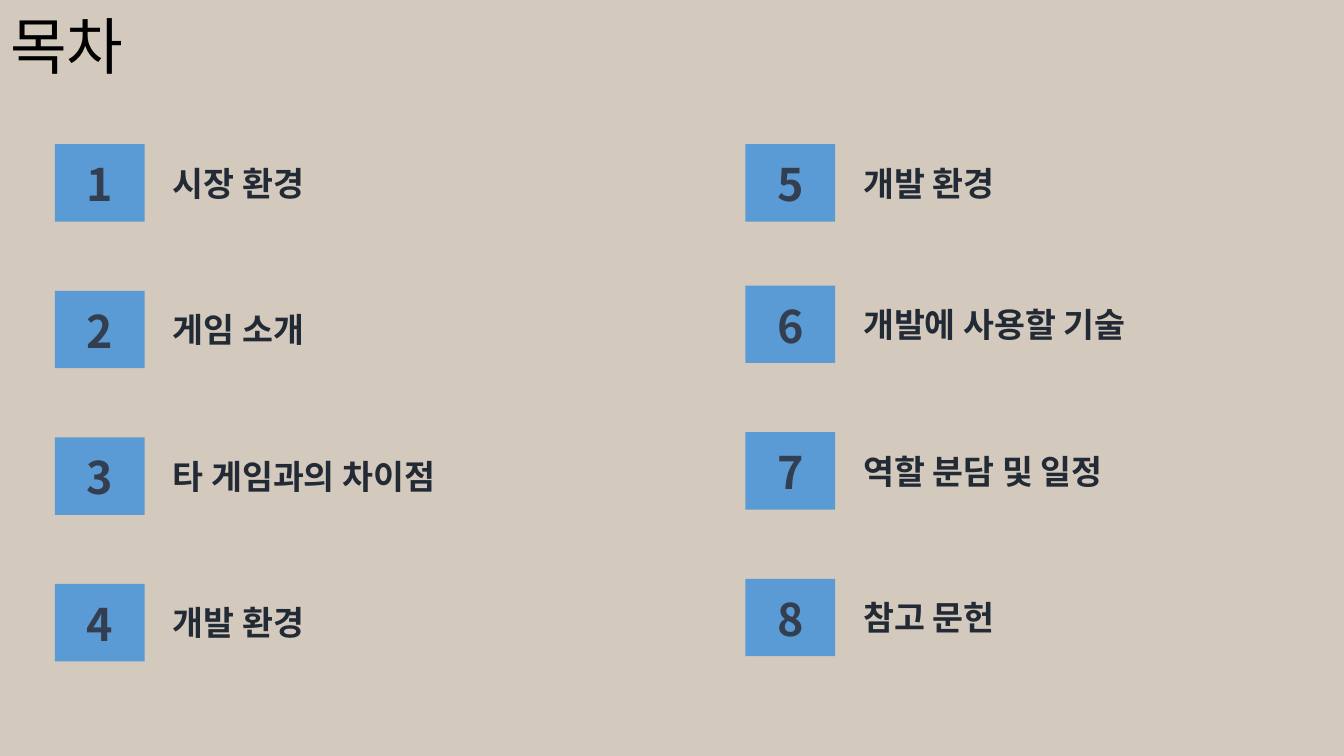
from dataclasses import dataclass

from lxml import etree
from pptx import Presentation
from pptx.dml.color import RGBColor
from pptx.enum.shapes import MSO_SHAPE
from pptx.enum.text import MSO_ANCHOR, MSO_AUTO_SIZE, PP_ALIGN
from pptx.oxml.ns import qn
from pptx.util import Pt

RECTANGLE = MSO_SHAPE.RECTANGLE
TOP = MSO_ANCHOR.TOP
FIT_SHAPE = MSO_AUTO_SIZE.SHAPE_TO_FIT_TEXT
LEFT, CENTER = PP_ALIGN.LEFT, PP_ALIGN.CENTER
TITLE_ONLY = 5


@dataclass(frozen=True)
class Theme:
    font: str = "Noto Sans CJK KR"
    background: str = "D3C9BD"
    tile: str = "5B9BD5"
    title: str = "000000"
    number: str = "333F50"
    label: str = "222A35"
    title_size: int = 44
    number_size: int = 32
    label_size: int = 24


def write_text(sp, text, *, font, size, color, bold=False, align=LEFT, wrap=True):
    tf = sp.text_frame
    tf.word_wrap = wrap
    tf.auto_size = FIT_SHAPE
    tf.vertical_anchor = TOP
    p = tf.paragraphs[0]
    p.alignment = align
    r = p.add_run()
    r.text = text
    r.font.name = font
    r.font.size = Pt(size)
    r.font.bold = bold
    r.font.color.rgb = RGBColor.from_string(color)
    # Hangul takes its typeface from the East Asian font slot.
    etree.SubElement(r.font._element, qn("a:ea"), typeface=font)


class ContentsSlide:
    def __init__(self, prs, theme):
        self.theme = theme
        self.s = prs.slides.add_slide(prs.slide_layouts[TITLE_ONLY])
        fill = self.s.background.fill
        fill.solid()
        fill.fore_color.rgb = RGBColor.from_string(theme.background)

    def title(self, text, x, y, w, h):
        sp = self.s.shapes.title
        sp.left, sp.top, sp.width, sp.height = Pt(x), Pt(y), Pt(w), Pt(h)
        write_text(sp, text, font=self.theme.font, size=self.theme.title_size,
                   color=self.theme.title)

    def tile(self, shapes, x, y, w, h):
        sp = shapes.add_shape(RECTANGLE, Pt(x), Pt(y), Pt(w), Pt(h))
        sp.shadow.inherit = False
        sp.fill.solid()
        sp.fill.fore_color.rgb = RGBColor.from_string(self.theme.tile)
        sp.line.fill.background()

    def text(self, shapes, text, x, y, w, h, **style):
        sp = shapes.add_textbox(Pt(x), Pt(y), Pt(w), Pt(h))
        write_text(sp, text, font=self.theme.font, bold=True, **style)

    def entry(self, number, label, x, y, label_width):
        """Add one grouped contents line: tile, number and label."""
        t = self.theme
        shapes = self.s.shapes.add_group_shape().shapes
        self.tile(shapes, x, y, 64, 55.3)
        self.text(shapes, str(number), x + 14.8, y + 5.5, 34.6, 46,
                  size=t.number_size, color=t.number, align=CENTER, wrap=False)
        self.text(shapes, label, x + 77, y + 9.6, label_width, 36,
                  size=t.label_size, color=t.label)


ROW_STEP = 104.7
LEFT_TOPS = [103 + ROW_STEP * i for i in range(4)]
RIGHT_TOPS = [103] + [204 + ROW_STEP * i for i in range(3)]

# Each column: left edge, row tops, (label, label width)
COLUMNS = [
    (39.3, LEFT_TOPS, [("시장 환경", 230), ("게임 소개", 230),
                       ("타 게임과의 차이점", 365), ("개발 환경", 365)]),
    (532.5, RIGHT_TOPS, [("개발 환경", 230), ("개발에 사용할 기술", 230),
                         ("역할 분담 및 일정", 230), ("참고 문헌", 350)]),
]


def main():
    prs = Presentation()
    prs.slide_width, prs.slide_height = Pt(960), Pt(540)
    contents = ContentsSlide(prs, Theme())
    contents.title("목차", 0, 2, 120, 60.6)
    number = 0
    for x, tops, labels in COLUMNS:
        for y, (label, width) in zip(tops, labels):
            number += 1
            contents.entry(number, label, x, y, width)
    prs.save("out.pptx")


if __name__ == "__main__":
    main()
